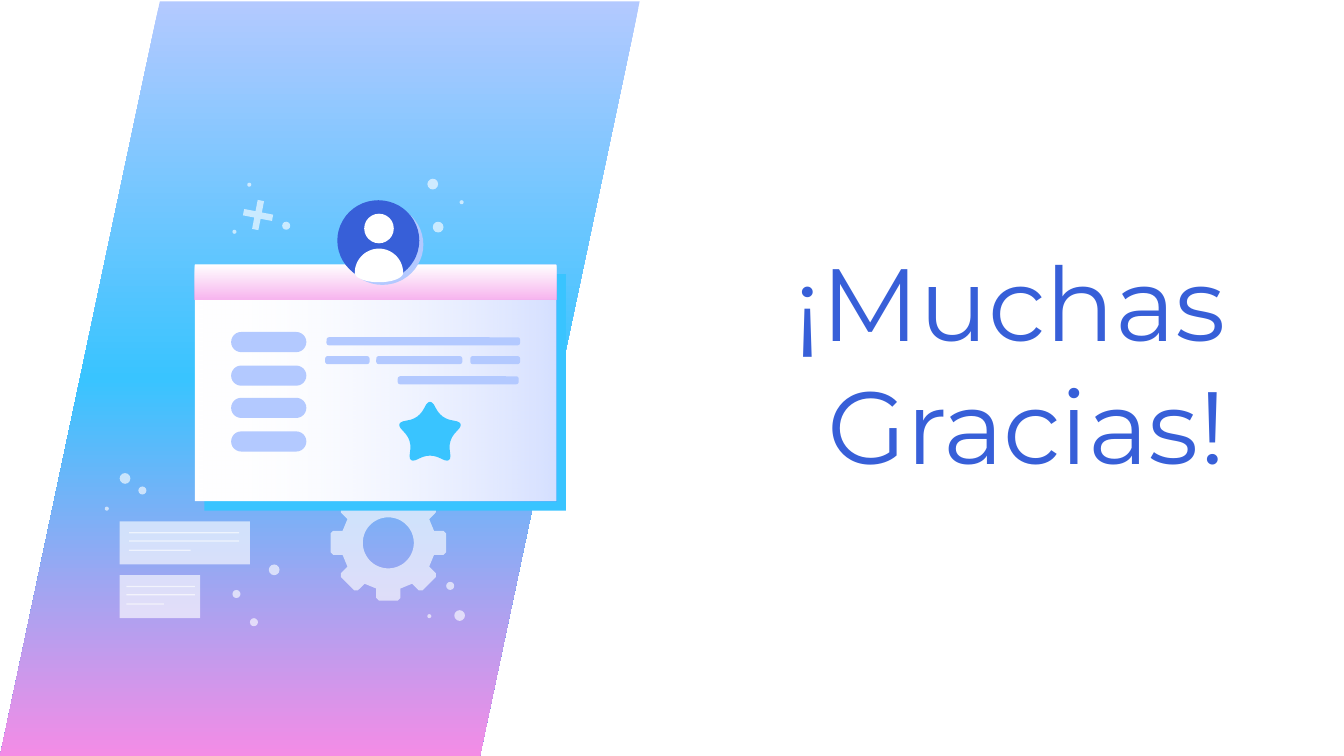
"""Build a closing slide with a thank-you title and an illustrated profile card."""
from math import cos, radians, sin

from lxml.etree import SubElement
from pptx import Presentation
from pptx.dml.color import RGBColor
from pptx.enum.shapes import MSO_SHAPE
from pptx.enum.text import MSO_ANCHOR, MSO_AUTO_SIZE, PP_ALIGN
from pptx.oxml.ns import qn
from pptx.util import Inches, Pt

PX = 9144
FONT = "Montserrat"
HUES = {
    "white": "FFFFFF",
    "blue": "375FD8",
    "sky": "39C4FF",
    "pale": "B3C9FF",
    "pink": "F48CE6",
    "tint": "4A77FF",
}


def write(frame, text, size=55, hue="blue", align=PP_ALIGN.RIGHT):
    """Put formatted text in a frame."""
    frame.text = text
    line = frame.paragraphs[0]
    line.alignment = align
    font = line.runs[0].font
    font.name, font.size = FONT, Pt(size)
    font.color.rgb = RGBColor.from_string(HUES[hue])


def arc(x, y, wide, tall, start=0, end=360, step=6):
    """List points along part of an ellipse, clockwise from the right."""
    turns = [radians(a) for a in range(start, end + 1, step)]
    return [(x + wide * cos(a), y + tall * sin(a)) for a in turns]


def soften(points, cut, steps=6):
    """Replace each corner of an outline by a curve."""
    out = []
    for i, (x, y) in enumerate(points):
        ends = []
        for u, v in (points[i - 1], points[(i + 1) % len(points)]):
            part = cut / ((u - x) ** 2 + (v - y) ** 2) ** 0.5
            ends.append((x + (u - x) * part, y + (v - y) * part))
        (a, b), (c, d) = ends
        for k in range(steps + 1):
            t = k / steps
            p, q, r = (1 - t) ** 2, 2 * t * (1 - t), t * t
            out.append((p * a + q * x + r * c, p * b + q * y + r * d))
    return out


def star(x, y, outer, inner):
    """List the corners of a five-point star."""
    points = []
    for i in range(10):
        size, turn = (inner if i % 2 else outer), radians(36 * i - 90)
        points.append((x + size * cos(turn), y + size * sin(turn)))
    return points


def gear(x, y):
    """List the corners of an eight-tooth wheel."""
    tooth = [(34, -9), (41, -9), (43, -7), (43, 7), (41, 9), (34, 9)]
    points = []
    for i in range(8):
        c, s = cos(radians(45 * i)), sin(radians(45 * i))
        points += [(x + u * c - v * s, y + u * s + v * c) for u, v in tooth]
    return points


class Pen:
    """Hold the style and the current slide."""

    def __init__(self, slide):
        self.slide = slide
        self.shapes = slide.shapes

    def paint(self, shape, fill, alpha=100):
        """Fill a shape with a plain hue and no line."""
        shape.shadow.inherit = False
        shape.line.fill.background()
        shape.fill.solid()
        shape.fill.fore_color.rgb = RGBColor.from_string(HUES[fill])
        if alpha < 100:
            tone = shape._element.spPr.find(".//" + qn("a:srgbClr"))
            SubElement(tone, qn("a:alpha"), val=str(alpha * 1000))
        return shape

    def blend(self, shape, stops, angle):
        """Fill a shape with a gradient of (place, hue, alpha) stops."""
        shape.fill.gradient()
        shape.fill.gradient_angle = -angle % 360
        group = shape._element.spPr.find(".//" + qn("a:gsLst"))
        for old in list(group):
            group.remove(old)
        for place, hue, alpha in stops:
            stop = SubElement(group, qn("a:gs"), pos=str(place * 1000))
            tone = SubElement(stop, qn("a:srgbClr"), val=HUES[hue])
            SubElement(tone, qn("a:alpha"), val=str(alpha * 1000))

    def form(self, x, y, w, h, fill="white", alpha=100,
             kind=MSO_SHAPE.RECTANGLE, bend=None):
        """Add a preset shape."""
        box = [n * PX for n in (x, y, w, h)]
        shape = self.shapes.add_shape(kind, *box)
        if bend is not None:
            shape.adjustments[0] = bend
        return self.paint(shape, fill, alpha)

    def disc(self, x, y, w, h, fill="white", alpha=100):
        """Add an ellipse."""
        return self.form(x, y, w, h, fill, alpha, MSO_SHAPE.OVAL)

    def bar(self, x, y, w, h, bend):
        """Add a rounded bar."""
        kind = MSO_SHAPE.ROUNDED_RECTANGLE
        return self.form(x, y, w, h, "pale", 100, kind, bend)

    def outline(self, *loops, fill="white", alpha=100):
        """Add a free shape of one or more closed loops."""
        build = None
        for loop in loops:
            first, *rest = [(round(x * PX), round(y * PX)) for x, y in loop]
            if build is None:
                build = self.shapes.build_freeform(*first, scale=1.0)
            else:
                build.move_to(*first)
            build.add_line_segments(rest, close=True)
        return self.paint(build.convert_to_shape(), fill, alpha)

    def title(self, text, x, y, w, h):
        """Place and format the title."""
        head = self.shapes.title
        head.left, head.top, head.width, head.height = (
            n * PX for n in (x, y, w, h))
        frame = head.text_frame
        frame.word_wrap = True
        frame.auto_size = MSO_AUTO_SIZE.NONE
        frame.vertical_anchor = MSO_ANCHOR.BOTTOM
        frame.margin_left = frame.margin_right = 10 * PX
        frame.margin_top = frame.margin_bottom = 10 * PX
        write(frame, text)


def main():
    """Draw the slide and save it."""
    deck = Presentation()
    deck.slide_width = Inches(10)
    deck.slide_height = deck.slide_width * 9 // 16
    pen = Pen(deck.slides.add_slide(deck.slide_layouts[5]))

    band = pen.form(0, 1, 476, 562, kind=MSO_SHAPE.PARALLELOGRAM, bend=0.25)
    pen.blend(band, [(0, "pale", 100), (50, "sky", 100), (100, "pink", 100)], 90)
    pen.title("¡Muchas Gracias!", 500, 265, 422, 106)

    haze = 64
    pen.outline(gear(289, 404), arc(289, 404, 19, 19), alpha=haze)
    dots = {
        3: [(318, 457), (78, 377), (342, 149), (173, 171), (184, 136)],
        6: [(332, 433), (103, 362), (186, 460), (173, 439), (210, 165)],
        8: [(338, 454), (89, 352), (200, 420), (322, 165), (318, 133)],
    }
    for size, spots in dots.items():
        for x, y in spots:
            pen.disc(x, y, size, size, alpha=haze)
    notes = [(89, 388, 97, 96, (82, 82, 46)), (89, 428, 60, 94, (51, 51, 28))]
    for x, y, wide, left, rows in notes:
        pen.form(x, y, wide, 32, alpha=haze)
        for i, long in enumerate(rows):
            pen.form(left, y + 8 + i * 13 // 2, long, 1, alpha=haze)
    plus = pen.form(181, 149, 22, 22, "white", haze, MSO_SHAPE.CROSS, 0.39)
    plus.rotation = 11

    pen.form(152, 204, 269, 176, "sky")
    pen.form(145, 197, 269, 176)
    glow = pen.form(145, 197, 269, 176)
    pen.blend(glow, [(0, "white", 0), (100, "tint", 23)], 0)
    pen.form(145, 197, 269, 26)
    for i in range(4):
        pen.bar(172, round(247 + i * 74 / 3), 56, 15, 0.5)
    for x, y, w in [(243, 251, 144), (242, 265, 33), (280, 265, 64),
                    (350, 265, 37), (296, 280, 90)]:
        pen.bar(x, y, w, 6, 0.3)
    pen.outline(soften(star(320, 323, 28, 14), 9), fill="sky")
    strip = pen.form(145, 197, 269, 26)
    pen.blend(strip, [(0, "white", haze), (100, "pink", haze)], 90)

    pen.disc(254, 152, 61, 60, "pale")
    pen.disc(251, 149, 61, 60, "blue")
    pen.disc(271, 159, 22, 22)
    pen.outline(arc(282, 203, 18, 7, 0, 180) + arc(282, 203, 18, 18, 180, 360))
    deck.save("out.pptx")


if __name__ == "__main__":
    main()
